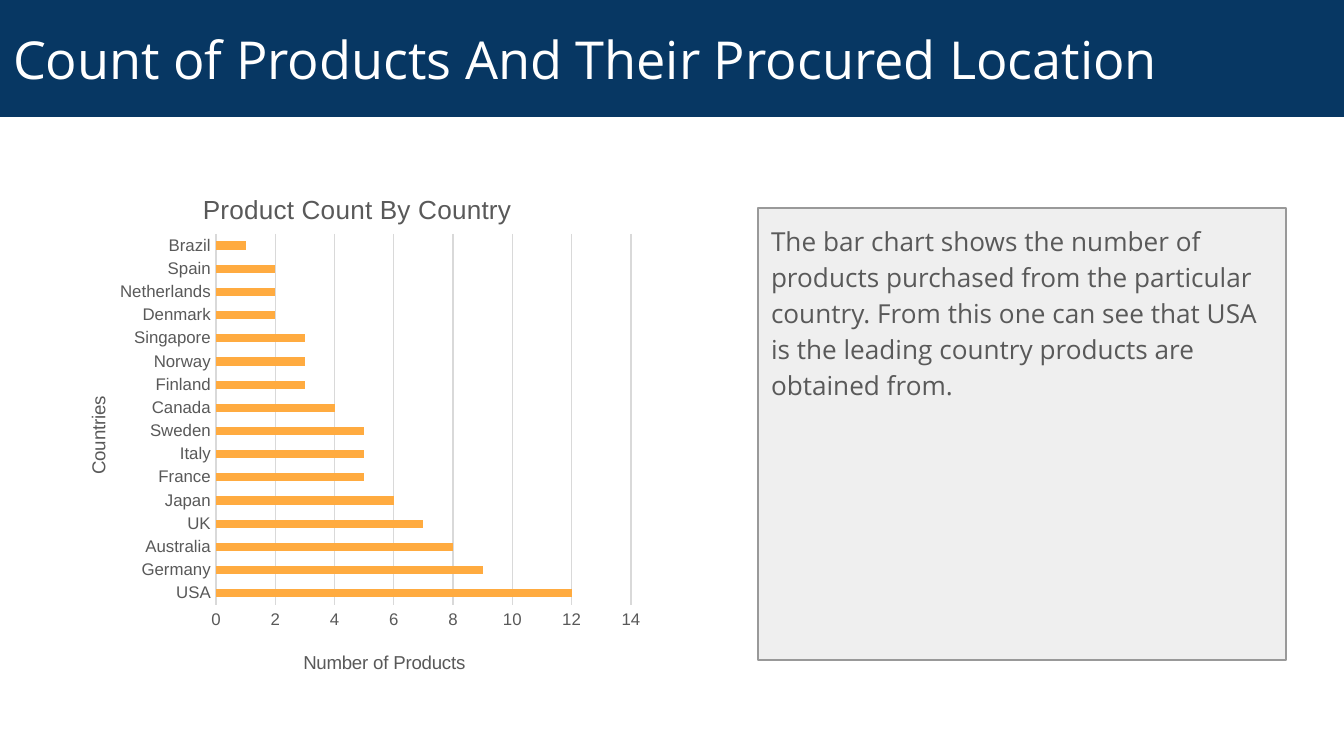
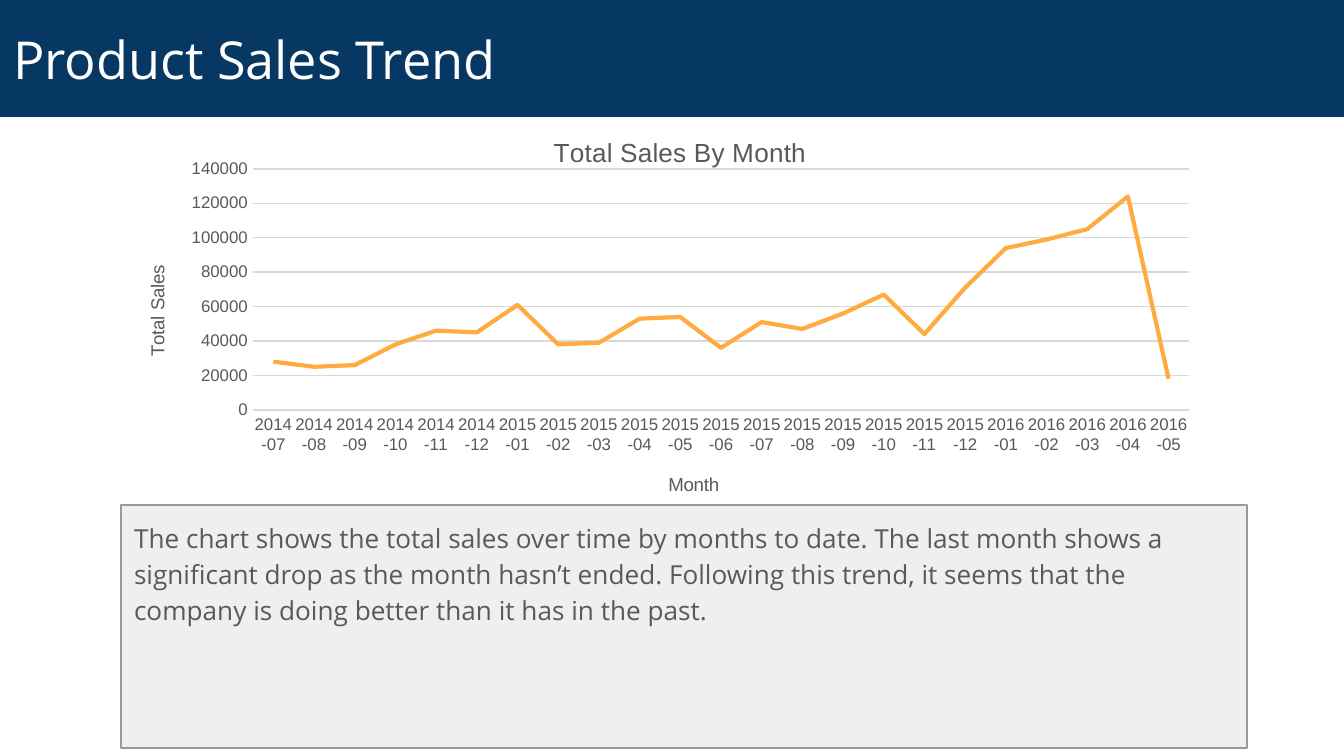
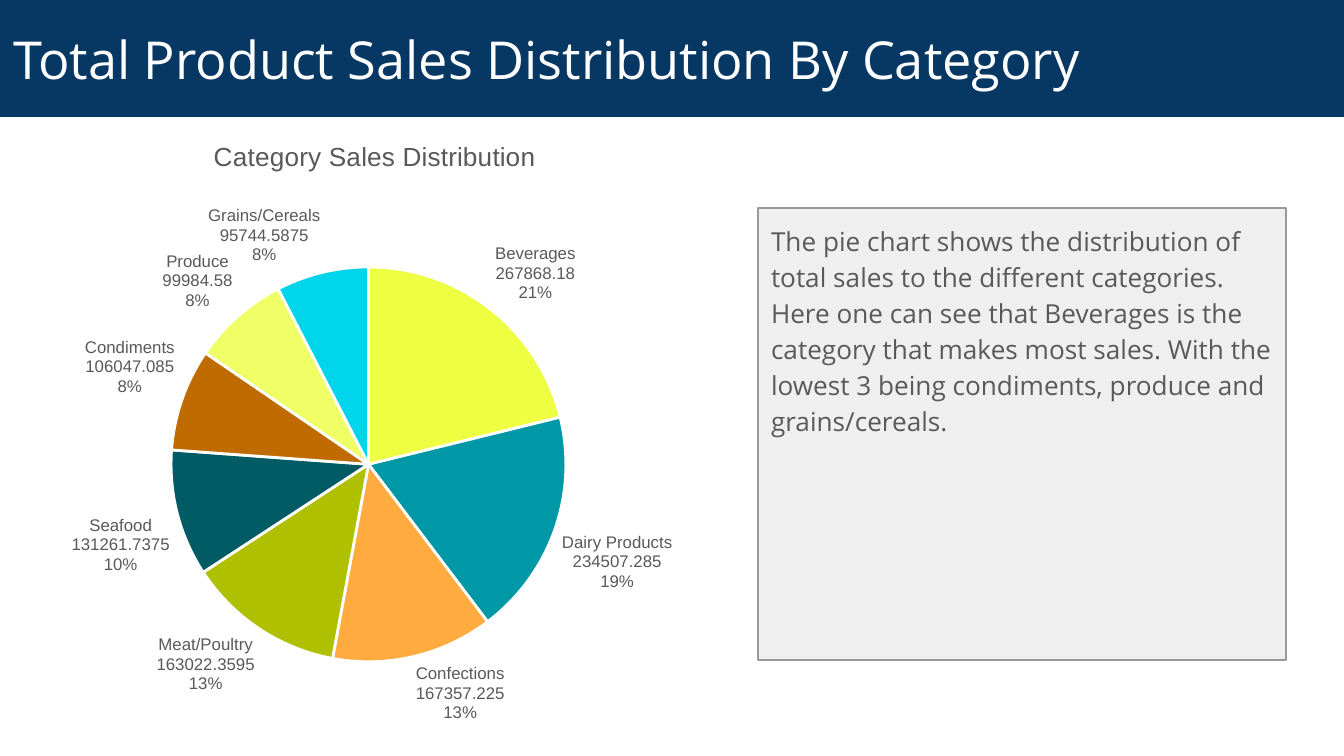
"""Build three sales slides, each with a title band, a chart and a note."""
from lxml import etree
from pptx import Presentation
from pptx.chart.data import CategoryChartData
from pptx.dml.color import RGBColor
from pptx.enum.chart import XL_CHART_TYPE, XL_LABEL_POSITION, XL_TICK_MARK
from pptx.enum.text import MSO_ANCHOR, MSO_AUTO_SIZE, PP_ALIGN
from pptx.oxml.ns import qn
from pptx.util import Pt

BAR, LINE, PIE = XL_CHART_TYPE.BAR_CLUSTERED, XL_CHART_TYPE.LINE, XL_CHART_TYPE.PIE
OUT, NONE = XL_LABEL_POSITION.OUTSIDE_END, XL_TICK_MARK.NONE
LEFT, TOP, MID = PP_ALIGN.LEFT, MSO_ANCHOR.TOP, MSO_ANCHOR.MIDDLE
FIXED = MSO_AUTO_SIZE.NONE
PX = 914400 / 134.4
WIDE, HIGH = 1344, 756

THEME = {
    "band": "073763", "white": "FFFFFF", "text": "595959", "panel": "EFEFEF",
    "edge": "999999", "grid": "D9D9D9", "main": "FFAB40",
    "slices": ["EEFF41", "0097A7", "FFAB40", "AFC000",
               "005B64", "BF6B00", "F1FF67", "00D5EC"],
    "face": "Open Sans", "plain": "Arial",
    "head": 28, "body": 14, "title": 14, "name": 10, "tick": 9,
}

BAND = (0, 0, WIDE, 117)
SIDE = (758, 208, 528, 452)
PAD = 13

LANDS = [("USA", 12), ("Germany", 9), ("Australia", 8), ("UK", 7), ("Japan", 6),
         ("France", 5), ("Italy", 5), ("Sweden", 5), ("Canada", 4),
         ("Finland", 3), ("Norway", 3), ("Singapore", 3), ("Denmark", 2),
         ("Netherlands", 2), ("Spain", 2), ("Brazil", 1)]
SALES = [28000, 25000, 26000, 38000, 46000, 45000, 61000, 38000, 39000, 53000,
         54000, 36000, 51000, 47000, 56000, 67000, 44000, 71000, 94000, 99000,
         105000, 124000, 18000]
MONTHS = [(f"{2014 + i // 12}-{i % 12 + 1:02}", sum_)
          for i, sum_ in enumerate(SALES, 6)]
KINDS = [("Beverages", 267868.18), ("Dairy Products", 234507.285),
         ("Confections", 167357.225), ("Meat/Poultry", 163022.3595),
         ("Seafood", 131261.7375), ("Condiments", 106047.085),
         ("Produce", 99984.58), ("Grains/Cereals", 95744.5875)]

SLIDES = [
    {"head": "Count of Products And Their Procured Location",
     "note": "The bar chart shows the number of products purchased from the "
             "particular country. From this one can see that USA is the leading "
             "country products are obtained from.",
     "panel": SIDE, "kind": BAR, "data": LANDS, "box": (52, 163, 601, 532),
     "plot": (216, 234, 415, 371), "title": ("Product Count By Country", 198, 188),
     "cat": ("Countries", 83, 393), "val": ("Number of Products", 300, 647),
     "step": 2, "top": 14},
    {"head": "Product Sales Trend",
     "note": "The chart shows the total sales over time by months to date. The "
             "last month shows a significant drop as the month hasn’t ended. "
             "Following this trend, it seems that the company is doing better "
             "than it has in the past.",
     "panel": (121, 505, 1126, 243), "kind": LINE, "data": MONTHS,
     "box": (121, 109, 1110, 423), "plot": (253, 169, 936, 241),
     "title": ("Total Sales By Month", 549, 131),
     "cat": ("Month", 665, 469), "val": ("Total Sales", 142, 262),
     "step": 20000, "top": 140000},
    {"head": "Total Product Sales Distribution By Category",
     "note": "The pie chart shows the distribution of total sales to the "
             "different categories. Here one can see that Beverages is the "
             "category that makes most sales. With the lowest 3 being "
             "condiments, produce and grains/cereals.",
     "panel": SIDE, "kind": PIE, "data": KINDS, "box": (30, 122, 685, 624),
     "plot": (171, 267, 395, 395),
     "title": ("Category Sales Distribution", 209, 135)},
]


def emu(px):
    return round(px * PX)


def put(item, **fmt):
    for key, val in fmt.items():
        setattr(item, key, val)


def tint(part, name):
    part.solid()
    part.fore_color.rgb = RGBColor.from_string(THEME.get(name, name))


def rule(line, name, size):
    tint(line.fill, name)
    line.width = Pt(size)


def style(font, size, tone="text", face="plain"):
    put(font, size=Pt(THEME[size]), name=THEME[face], bold=False)
    font.color.rgb = RGBColor.from_string(THEME[tone])


def fill_box(shape, text, box, fill, size, tone, anchor):
    put(shape, **dict(zip(("left", "top", "width", "height"), map(emu, box))))
    tint(shape.fill, fill)
    frame = shape.text_frame
    pads = {f"margin_{side}": emu(PAD) for side in ("left", "right", "top", "bottom")}
    put(frame, text=text, word_wrap=True, auto_size=FIXED,
        vertical_anchor=anchor, **pads)
    para = frame.paragraphs[0]
    put(para, alignment=LEFT, space_before=Pt(0))
    style(para.runs[0].font, size, tone, "face")
    return para


def add_note(shape, text, box):
    para = fill_box(shape, text, box, "panel", "body", "text", TOP)
    rule(shape.line, "edge", 0.75)
    put(para, line_spacing=1.15, space_after=Pt(16))
    props = para._p.get_or_add_pPr()
    put_attrs = {"marL": "0", "indent": "0"}
    for key, val in put_attrs.items():
        props.set(key, val)
    etree.SubElement(props, qn("a:buNone"))


def place(node, spot, box):
    """Pin a plot (four lengths) or a title (two) inside its chart box."""
    for old in node.xpath("./c:layout"):
        node.remove(old)
    plan = etree.Element(qn("c:layout"))
    hand = etree.SubElement(plan, qn("c:manualLayout"))
    x, y, *size = spot
    left, top, width, height = box
    vals = {"layoutTarget": "inner"} if size else {}
    vals.update(xMode="edge", yMode="edge",
                x=(x - left) / width, y=(y - top) / height)
    if size:
        vals.update(w=size[0] / width, h=size[1] / height)
    for key, val in vals.items():
        etree.SubElement(hand, qn("c:" + key)).set("val", str(val))
    node.insert(len(node.xpath("./c:tx")), plan)


def add_name(title, label, size, box, turn=False):
    text, *spot = label
    title.text_frame.text = text
    style(title.text_frame.paragraphs[0].runs[0].font, size)
    place(title.element, spot, box)
    if turn:
        body = title.element.xpath(".//a:bodyPr")[0]
        body.set("rot", "-5400000")
        body.set("vert", "horz")


def set_axes(chart, page):
    cat, val = chart.category_axis, chart.value_axis
    flat = page["kind"] == BAR
    for axis, key, turn in ((cat, "cat", flat), (val, "val", not flat)):
        put(axis, major_tick_mark=NONE, minor_tick_mark=NONE)
        style(axis.tick_labels.font, "tick")
        add_name(axis.axis_title, page[key], "name", page["box"], turn)
    rule(cat.format.line, "grid", 0.75)
    val.format.line.fill.background()
    put(val, minimum_scale=0, maximum_scale=page["top"],
        major_unit=page["step"], has_major_gridlines=True)
    rule(val.major_gridlines.format.line, "grid", 0.75)


def set_pie(plot, series):
    for i, tone in enumerate(THEME["slices"]):
        look = series.points[i].format
        tint(look.fill, tone)
        rule(look.line, "white", 1.5)
    plot.has_data_labels = True
    labels = plot.data_labels
    put(labels, show_value=True, show_percentage=True,
        show_category_name=True, position=OUT)
    style(labels.font, "tick")
    gap = etree.Element(qn("c:separator"))
    gap.text = "\n"
    node = plot.data_labels._element
    last = node.xpath("./c:showBubbleSize | ./c:showPercent")[-1]
    last.addnext(gap)


def add_chart(slide, page):
    data = CategoryChartData()
    names, vals = zip(*page["data"])
    data.categories = names
    data.add_series("Series 1", vals)
    box, kind = page["box"], page["kind"]
    chart = slide.shapes.add_chart(kind, *map(emu, box), data).chart
    put(chart, has_legend=False, has_title=True)
    style(chart.font, "name")
    add_name(chart.chart_title, page["title"], "title", box)
    root = chart.element
    clear = etree.Element(qn("c:spPr"))
    etree.SubElement(clear, qn("a:noFill"))
    edge = etree.SubElement(clear, qn("a:ln"))
    etree.SubElement(edge, qn("a:noFill"))
    root.xpath("./c:chart")[0].addnext(clear)
    place(root.xpath(".//c:plotArea")[0], page["plot"], box)
    plot = chart.plots[0]
    series = plot.series[0]
    plot.vary_by_categories = kind == PIE
    if kind == PIE:
        set_pie(plot, series)
        return
    set_axes(chart, page)
    if kind == BAR:
        plot.gap_width = 182
        tint(series.format.fill, "main")
    else:
        series.smooth = False
        rule(series.format.line, "main", 2.25)


def main():
    deck = Presentation()
    put(deck, slide_width=emu(WIDE), slide_height=emu(HIGH))
    for page in SLIDES:
        slide = deck.slides.add_slide(deck.slide_layouts[1])
        head, note = slide.placeholders
        add_note(note, page["note"], page["panel"])
        fill_box(head, page["head"], BAND, "band", "head", "white", MID)
        add_chart(slide, page)
    deck.save("out.pptx")


if __name__ == "__main__":
    main()
